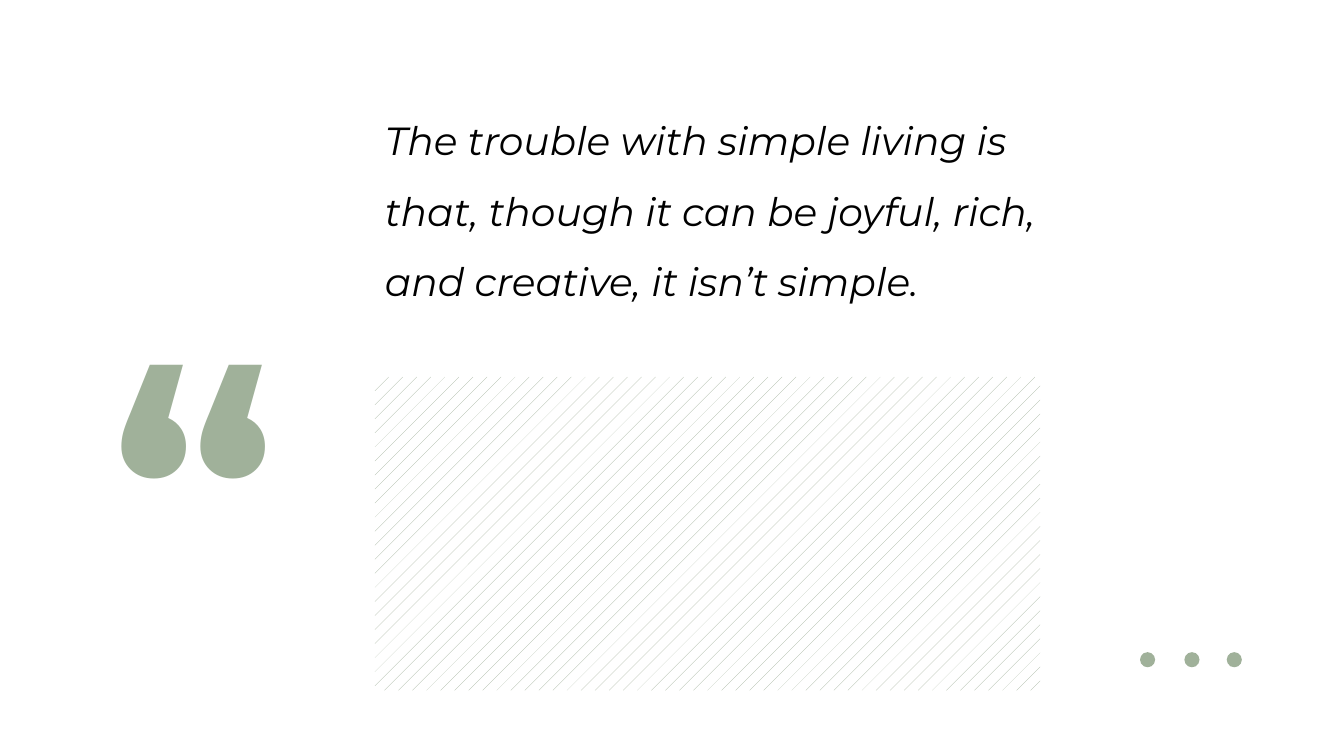
from dataclasses import dataclass

from pptx import Presentation
from pptx.dml.color import RGBColor as RGB
from pptx.enum.dml import MSO_PATTERN as PATTERN
from pptx.enum.shapes import MSO_SHAPE as SHAPE
from pptx.enum.text import MSO_AUTO_SIZE as FIT, PP_ALIGN as ALIGN
from pptx.util import Pt


@dataclass(frozen=True)
class Theme:
    sage: RGB = RGB(0xA0, 0xB1, 0x9A)
    black: RGB = RGB(0, 0, 0)
    white: RGB = RGB(255, 255, 255)
    face: str = "Montserrat"
    body: int = 28
    mark: int = 239


theme = Theme()
deck = Presentation()
deck.slide_width, deck.slide_height = Pt(960), Pt(540)
slide = deck.slides.add_slide(deck.slide_layouts[6])
slide.background.fill.solid()
slide.background.fill.fore_color.rgb = theme.white


def add_plain(kind, *box):
    """Add a preset shape without line or shadow."""
    shape = slide.shapes.add_shape(kind, *map(Pt, box))
    shape.shadow.inherit = False
    shape.line.fill.background()
    return shape


def add_text(text, size, color, *box):
    """Add a wrapped text box and return its paragraph."""
    frame = slide.shapes.add_textbox(*map(Pt, box)).text_frame
    frame.word_wrap = True
    frame.auto_size = FIT.SHAPE_TO_FIT_TEXT
    para = frame.paragraphs[0]
    para.text = text
    para.line_spacing = 1.5
    para.font.name = theme.face
    para.font.size = Pt(size)
    para.font.color.rgb = color
    return para


# Hatched panel
panel = add_plain(SHAPE.RECTANGLE, 267.84, 269.28, 475.2, 223.92)
panel.fill.patterned()
panel.fill.pattern = PATTERN.PERCENT_5
panel.fill.fore_color.rgb = theme.sage
panel.fill.back_color.rgb = theme.white

# Quotation
quote = add_text(
    "The trouble with simple living is that, though it can be joyful, rich, "
    "and creative, it isn’t simple.",
    theme.body, theme.black, 267.84, 62.64, 487.44, 159.84)
quote.font.italic = True

# Large quotation mark
mark = add_text("“", theme.mark, theme.sage, 46.8, 52.56, 182.88, 392.4)
mark.alignment = ALIGN.CENTER
mark.font.bold = True
mark.runs[0].font._element.set("spc", "300")

# Three dots
for left in (814.32, 846, 876.24):
    dot = add_plain(SHAPE.OVAL, left, 465.84, 10.8, 10.8)
    dot.fill.solid()
    dot.fill.fore_color.rgb = theme.sage

deck.save("out.pptx")
